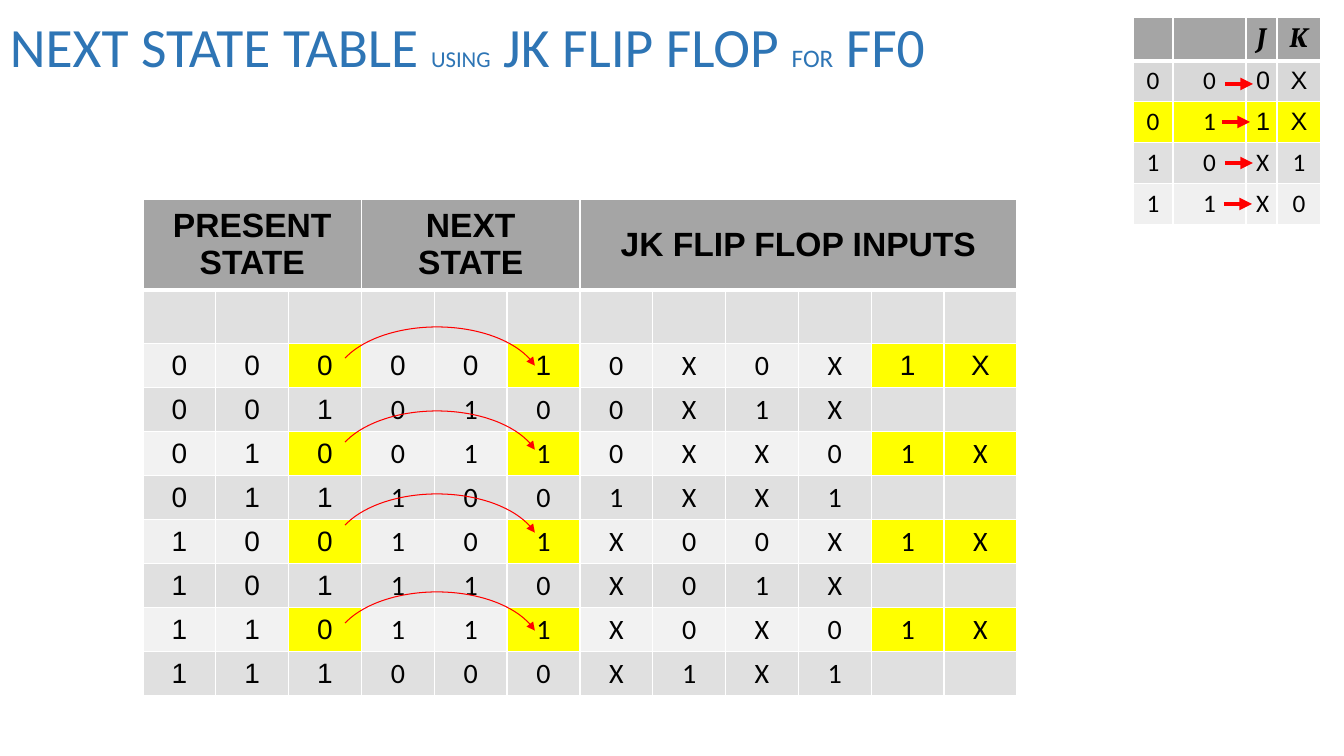
from itertools import cycle
from pptx import Presentation
from pptx.dml.color import RGBColor
from pptx.enum.shapes import MSO_CONNECTOR, MSO_SHAPE
from pptx.enum.text import MSO_ANCHOR, PP_ALIGN
from pptx.oxml import parse_xml
from pptx.oxml.ns import nsdecls
from pptx.util import Pt

# Content
TITLE = [("NEXT STATE TABLE ", 39.6), ("USING", 16.2), (" JK FLIP FLOP ", 39.6),
         ("FOR", 18), (" FF0", 39.6)]
HEADS = [("PRESENT STATE", 0, 2), ("NEXT STATE", 3, 5), ("JK FLIP FLOP INPUTS", 6, 11)]
STATES = [
    "0000010X0X1X",
    "0010100X1X",
    "0100110XX01X",
    "0111001XX1",
    "100101X00X1X",
    "101110X01X",
    "110111X0X01X",
    "111000X1X1",
]
EXCITE = ["000X", "011X", "10X1", "11X0"]

# Colours
BLUE = RGBColor(0x2E, 0x75, 0xB5)
BLACK = RGBColor(0, 0, 0)
RED = RGBColor(0xFF, 0, 0)
YELLOW = RGBColor(0xFF, 0xFF, 0)
GREY = RGBColor(0xA5, 0xA5, 0xA5)
DARK = RGBColor(0xD8, 0xD8, 0xD8)
MID = RGBColor(0xE0, 0xE0, 0xE0)
LIGHT = RGBColor(0xF0, 0xF0, 0xF0)
PALE = RGBColor(0xF2, 0xF2, 0xF2)

# Places in px
MAIN_X, MAIN_Y, MAIN_W = 143, 199, 874
MAIN_ROWS = [90, 54] + [44] * 8
MINI_X, MINI_Y = 1133, 17
MINI_COLS = [40, 73, 31, 44]
MINI_ROWS = [43] + [41] * 4
ARROWS = [(1225, 84), (1222, 122), (1225, 163), (1224, 204)]
ARCS = [327, 411, 494, 592]
MARKED = (2, 5, 10, 11)


def px(val):
    return round(val * 12192000 / 1344)


def write(par, text, size, font, color=BLACK, bold=False, italic=False):
    run = par.add_run()
    run.text = text
    run.font.size = Pt(size)
    run.font.name = font
    run.font.color.rgb = color
    run.font.bold = bold
    run.font.italic = italic


def grid(left, top, cols, rows):
    frame = slide.shapes.add_table(len(rows), len(cols), px(left), px(top),
                                   px(sum(cols)), px(sum(rows)))
    table = frame.table
    table.first_row = table.horz_banding = False
    for col, wide in zip(table.columns, cols):
        col.width = px(wide)
    for row, high in zip(table.rows, rows):
        row.height = px(high)
    return table


def paint(table, row, col, fill):
    cell = table.cell(row, col)
    props = cell._tc.get_or_add_tcPr()
    for side in "LRTB":
        thick = (row, side) in ((0, "B"), (1, "T"))
        props.append(parse_xml(
            f'<a:ln{side} {nsdecls("a")} w="{Pt(3 if thick else 1)}"><a:solidFill>'
            f'<a:srgbClr val="FFFFFF"/></a:solidFill></a:ln{side}>'))
    cell.fill.solid()
    cell.fill.fore_color.rgb = fill
    cell.vertical_anchor = MSO_ANCHOR.MIDDLE
    return cell


def label(cell, text, size, font, **style):
    par = cell.text_frame.paragraphs[0]
    par.alignment = PP_ALIGN.CENTER
    write(par, text, size, font, **style)


def stroke(shape, width):
    shape.line.color.rgb = RED
    shape.line.width = Pt(width)
    shape.line._get_or_add_ln().append(
        parse_xml(f'<a:tailEnd {nsdecls("a")} type="triangle"/>'))


deck = Presentation()
deck.slide_width, deck.slide_height = px(1344), px(756)
slide = deck.slides.add_slide(deck.slide_layouts[6])

# Title
frame = slide.shapes.add_textbox(0, 0, px(1007), px(100)).text_frame
frame.word_wrap = True
frame.vertical_anchor = MSO_ANCHOR.MIDDLE
frame.paragraphs[0].line_spacing = 0.9
for text, size in TITLE:
    write(frame.paragraphs[0], text, size, "Calibri", BLUE)

# Next state table
main = grid(MAIN_X, MAIN_Y, [MAIN_W / 12] * 12, MAIN_ROWS)
for col in range(12):
    paint(main, 0, col, GREY)
    paint(main, 1, col, MID)
for text, first, last in HEADS:
    main.cell(0, first).merge(main.cell(0, last))
    label(main.cell(0, first), text, 24, "Arial", bold=True)
for row, (bits, band) in enumerate(zip(STATES, cycle([LIGHT, MID, PALE, MID]))):
    for col, bit in enumerate(bits.ljust(12)):
        mark = row % 2 == 0 and col in MARKED
        cell = paint(main, row + 2, col, YELLOW if mark else band)
        arial = col < 3 or row == 0 and not 6 <= col <= 9
        if bit != " ":
            label(cell, bit, 20, "Arial" if arial else "Calibri")

# Excitation table
mini = grid(MINI_X, MINI_Y, MINI_COLS, MINI_ROWS)
for col, name in enumerate(["", "", "J", "K"]):
    cell = paint(mini, 0, col, GREY)
    if name:
        label(cell, name, 20, "Cambria", bold=True, italic=True)
for row, (bits, fill) in enumerate(zip(EXCITE, [DARK, YELLOW, MID, LIGHT])):
    for col, bit in enumerate(bits):
        font = "Arial" if row < 2 <= col else "Calibri"
        label(paint(mini, row + 1, col, fill), bit, 18, font)

# Arrows from state to input
for left, top in ARROWS:
    line = slide.shapes.add_connector(MSO_CONNECTOR.STRAIGHT, px(left), px(top),
                                      px(left + 28), px(top))
    stroke(line, 3)
    line._element.spPr.append(parse_xml(f'<a:effectLst {nsdecls("a")}/>'))

# Arcs from present to next state
for top in ARCS:
    arc = slide.shapes.add_shape(MSO_SHAPE.ARC, px(333), px(top), px(208), px(117))
    arc.adjustments[0] = 117.94
    arc.adjustments[1] = 209.15
    arc.shadow.inherit = False
    arc.fill.background()
    stroke(arc, 0.75)

deck.save("out.pptx")
